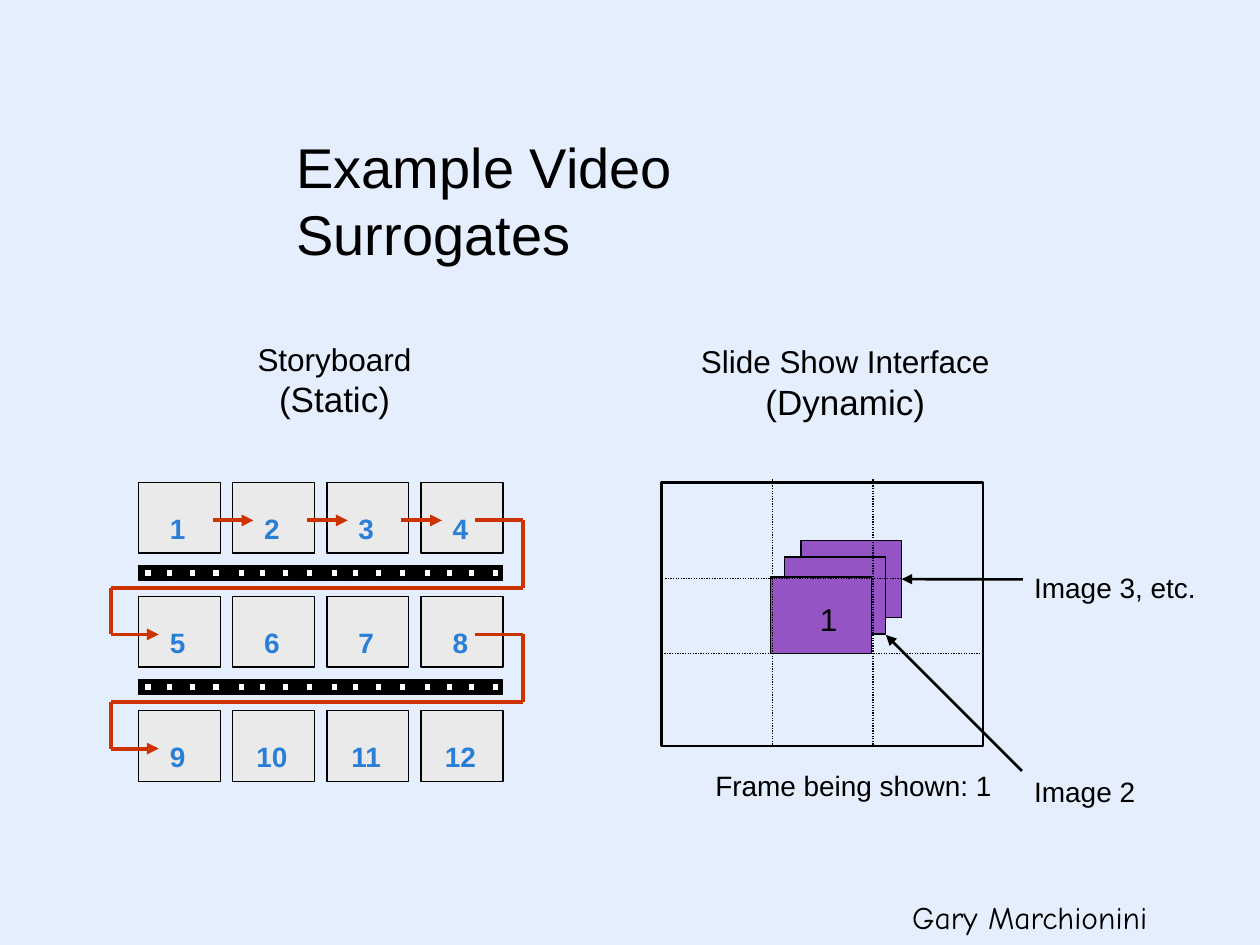
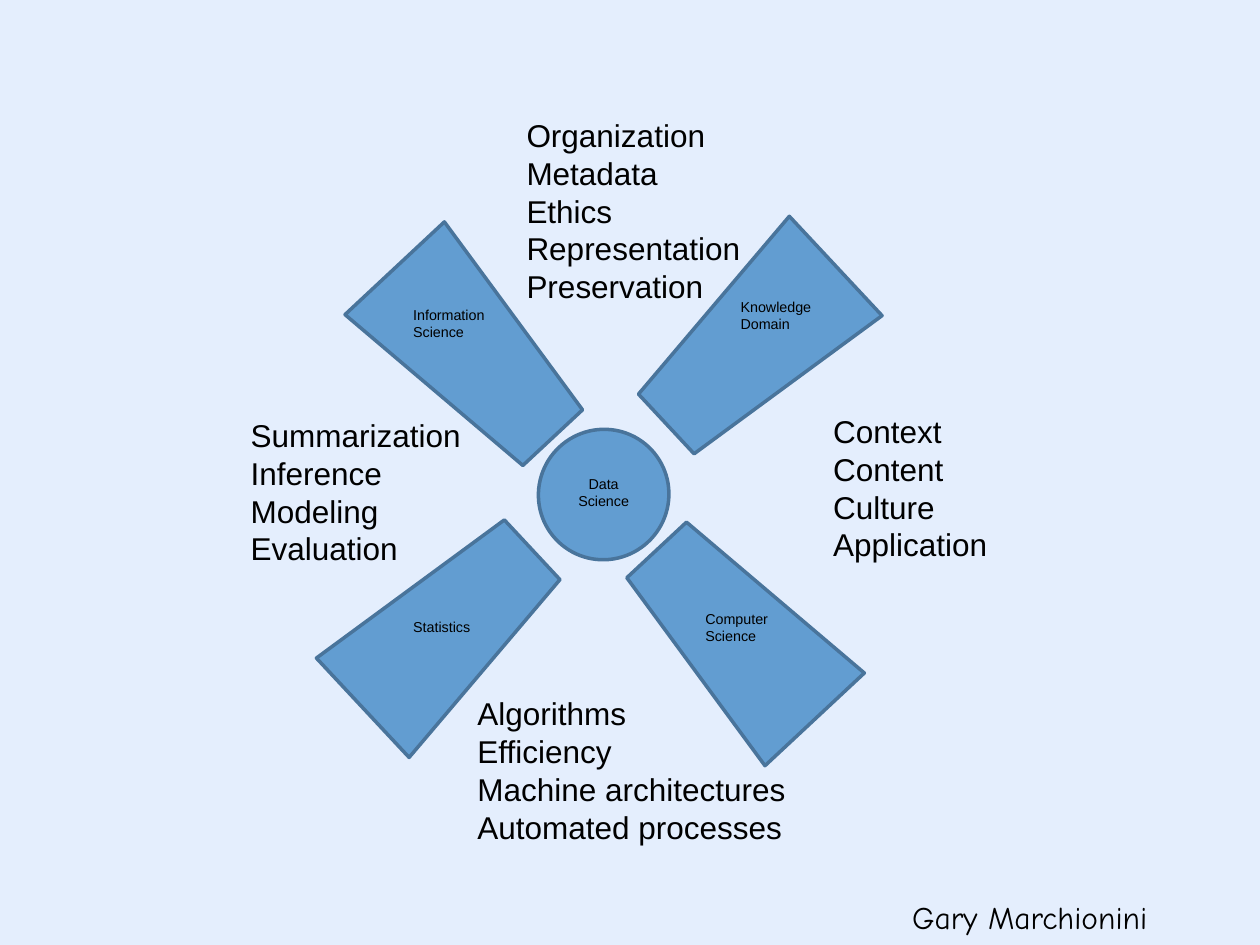
from dataclasses import dataclass

from lxml import etree
from pptx import Presentation
from pptx import util as u
from pptx.dml import color
from pptx.enum import dml, shapes, text
from pptx.oxml import ns

BOX = shapes.MSO_SHAPE.RECTANGLE
MID = text.PP_ALIGN.CENTER
LEFT = text.PP_ALIGN.LEFT


@dataclass(frozen=True)
class Theme:
    """Colours, fonts and type sizes."""
    back: str = "E4EEFD"
    ink: str = "000000"
    hole: str = "FFFFFF"
    frame: str = "EAEAEA"
    digit: str = "297FD5"
    route: str = "CC3300"
    image: str = "9454C3"
    petal: str = "629DD1"
    edge: str = "49749B"
    face: str = "Arial"
    hand: str = "Comic Neue"
    title: float = 32
    large: float = 20
    body: float = 18
    note: float = 16
    tiny: float = 8.2


def rgb(code):
    return color.RGBColor.from_string(code)


def dress(item, vals):
    for key, val in vals.items():
        setattr(item, key, val)


def place(item, area):
    dress(item, dict(zip(("left", "top", "width", "height"), map(u.Cm, area))))


class Deck:
    def __init__(self, theme):
        self.theme = theme
        self.prs = Presentation()
        dress(self.prs, {"slide_width": u.Cm(25.4), "slide_height": u.Cm(19.05)})
        fill = self.prs.slide_master.background.fill
        fill.solid()
        fill.fore_color.rgb = rgb(theme.back)
        self.slide = None

    def page(self, layout):
        self.slide = self.prs.slides.add_slide(self.prs.slide_layouts[layout])

    def words(self, item, lines, size, wrap=False, align=LEFT, face=None,
              ink=None, bold=False):
        """Fill a text holder; size is one value or one per line."""
        frame = item.text_frame
        dress(frame, {"word_wrap": wrap, "auto_size": text.MSO_AUTO_SIZE.NONE,
                      "vertical_anchor": text.MSO_ANCHOR.TOP})
        sizes = size if isinstance(size, tuple) else (size,) * len(lines)
        for row, (line, pts) in enumerate(zip(lines, sizes)):
            para = frame.add_paragraph() if row else frame.paragraphs[0]
            if item.is_placeholder:
                props = para._p.get_or_add_pPr()
                props.set("marL", "0")
                props.set("indent", "0")
                etree.SubElement(props, ns.qn("a:buNone"))
            dress(para, {"alignment": align, "space_before": u.Pt(0)})
            run = para.add_run()
            run.text = line
            dress(run.font, {"size": u.Pt(pts), "bold": bold,
                             "name": face or self.theme.face})
            run.font.color.rgb = rgb(ink or self.theme.ink)

    def label(self, area, lines, size, **style):
        item = self.slide.shapes.add_textbox(*map(u.Cm, area))
        self.words(item, lines, size, **style)
        return item

    def holder(self, index, area, lines, size, **style):
        item = self.slide.placeholders[index]
        place(item, area)
        self.words(item, lines, size, **style)

    def group(self):
        return self.slide.shapes.add_group_shape().shapes

    def shape(self, area, fill, host=None, kind=BOX, edge=None, width=0.75, turn=0):
        item = (host or self.slide.shapes).add_shape(kind, *map(u.Cm, area))
        item.shadow.inherit = False
        item.rotation = turn
        if fill:
            item.fill.solid()
            item.fill.fore_color.rgb = rgb(fill)
        else:
            item.fill.background()
        item.line.color.rgb = rgb(edge or self.theme.ink)
        item.line.width = u.Pt(width)
        return item

    def line(self, start, end, ink=None, width=1.5, arrow=False, dots=False):
        item = self.slide.shapes.add_connector(
            shapes.MSO_CONNECTOR.STRAIGHT, *map(u.Cm, (*start, *end)))
        item.line.color.rgb = rgb(ink or self.theme.ink)
        item.line.width = u.Pt(width)
        if dots:
            item.line.dash_style = dml.MSO_LINE.ROUND_DOT
        if arrow:
            stroke = item.line._get_or_add_ln()
            etree.SubElement(stroke, ns.qn("a:tailEnd"), type="triangle")
        etree.SubElement(item.element.spPr, ns.qn("a:effectLst"))
        return item

    def chain(self, points, **style):
        """Row of lines with an arrowhead on the last one."""
        last = len(points) - 2
        for step, (start, end) in enumerate(zip(points, points[1:])):
            self.line(start, end, arrow=step == last, **style)

    def footer(self, area, name):
        """Put the name on the master so that each slide shows it."""
        item = self.label(area, [name], self.theme.body, face=self.theme.hand)
        self.prs.slide_master.element.cSld.spTree.append(item.element)


def show(deck):
    """Slide show panel with its stack of images."""
    look = deck.theme
    size = (2.03, 1.55)
    back = deck.shape((16.15, 10.9, *size), look.image)
    deck.shape((15.82, 11.23, *size), look.image)
    deck.shape((13.34, 9.73, 6.48, 5.31), None, width=1.5)
    deck.shape((15.54, 11.63, *size), look.image)
    deck.label((12.9, 6.78, 8.28, 2.11), ["Slide Show Interface", "(Dynamic)"],
               (look.body, look.large), align=MID)

    # Pointers and captions
    deck.line((20.6, 15.54), (17.86, 12.8), arrow=True)
    deck.line((20.62, 11.68), (18.18, 11.68), arrow=True).end_connect(back, 3)
    deck.label((16.28, 11.98, 0.64, 1.27), ["1"], look.body)
    for left, top, width, name in ((20.6, 15.49, 2.57, "Image 2"),
                                   (20.6, 11.38, 3.78, "Image 3, etc."),
                                   (14.17, 15.37, 6.25, "Frame being shown: 1")):
        deck.label((left, top, width, 0.94), [name], look.note)

    # Dotted grid
    for x in (15.57, 17.6):
        deck.line((x, 15.01), (x, 9.65), width=0.75, dots=True)
    for x, y in ((13.41, 11.66), (13.34, 13.18)):
        deck.line((x, y), (x + 6.45, y), width=0.75, dots=True)


def story(deck):
    """Storyboard of numbered frames, film strips and reading route."""
    look = deck.theme
    rows, cols, across, down = 3, 4, 1.9, 2.3
    deck.label((4.42, 6.73, 4.65, 2.11), ["Storyboard", "(Static)"],
               (look.body, look.large), align=MID)

    # Frames and numbers
    for cell in range(rows * cols):
        row, col = divmod(cell, cols)
        deck.shape((2.79 + col * across, 9.73 + row * down, 1.65, 1.42), look.frame)
        digit = str(cell + 1)
        wide = 0.81 if len(digit) == 1 else 1.14
        deck.label((3.58 + col * across - wide / 2, 10.19 + row * down, wide, 0.94),
                   [digit], look.note, align=MID, ink=look.digit, bold=True)

    # Film strips between rows
    for row in range(rows - 1):
        top = 11.4 + row * down
        strip = deck.group()
        deck.shape((2.79, top, 7.34, 0.3), look.ink, strip)
        for col in range(cols):
            for gap in (0, 0.43, 0.89, 1.37):
                deck.shape((2.92 + col * 1.88 + gap, top + 0.08, 0.13, 0.15),
                           look.hole, strip)

    # Route through the frames
    style = {"ink": look.route, "width": 2.25}
    y = 10.49
    for col in range(cols - 1):
        x = 4.29 + col * across
        deck.line((x, y), (x + 0.82, y), arrow=True, **style)
    for row in range(rows - 1):
        top = y + row * down
        turn, end = top + 1.37, top + down
        deck.chain([(9.58, top), (10.54, top), (10.54, turn),
                    (2.24, turn), (2.24, end), (3.2, end)], **style)


def wheel(deck):
    """Four petals around a hub, with their topics."""
    look = deck.theme
    kind = shapes.MSO_SHAPE
    style = {"host": deck.group(), "edge": look.edge, "width": 2}
    for left, top, turn in ((8.18, 4.78, 317), (13.46, 10.46, 137),
                            (7.65, 10.34, 227), (13.77, 4.62, 47)):
        deck.shape((left, top, 2.74, 4.67), look.petal, turn=turn,
                   kind=kind.FLOWCHART_MANUAL_OPERATION, **style)
    deck.shape((10.85, 8.66, 2.64, 2.62), look.petal, turn=317,
               kind=kind.FLOWCHART_CONNECTOR, **style)

    # Names on the parts
    for left, top, lines in ((8.08, 6.05, ["Information", "Science"]),
                             (13.97, 12.17, ["Computer", "Science"]),
                             (8.08, 12.34, ["Statistics"]),
                             (14.68, 5.89, ["Knowledge", "Domain"])):
        deck.label((left, top, 2.36, 0.97), lines, look.tiny, wrap=True)
    deck.label((11.33, 9.45, 1.68, 0.97), ["Data", "Science"], look.tiny, align=MID)

    # Topic lists
    lists = (
        ((10.36, 2.21, 4.85, 4.88),
         ["Organization", "Metadata", "Ethics", "Representation", "Preservation"]),
        ((16.54, 8.18, 3.66, 4.11), ["Context", "Content", "Culture", "Application"]),
        ((9.37, 13.87, 6.78, 3.33),
         ["Algorithms", "Efficiency", "Machine architectures", "Automated processes"]),
        ((4.8, 8.26, 4.8, 3.33),
         ["Summarization", "Inference", "Modeling", "Evaluation"]),
    )
    for index, (area, lines) in enumerate(lists, 1):
        deck.holder(index, area, lines, look.body)


def main():
    deck = Deck(Theme())

    # Slide 1: video surrogates
    deck.page(5)
    deck.footer((18.14, 17.98, 7.26, 1.02), "Gary Marchionini")
    deck.holder(0, (5.72, 2.54, 12.67, 1.6), ["Example Video Surrogates"],
                deck.theme.title, wrap=True)
    show(deck)
    story(deck)

    # Slide 2: data science
    deck.page(4)
    title = deck.slide.shapes.title.element
    title.getparent().remove(title)
    wheel(deck)

    deck.prs.save("out.pptx")


if __name__ == "__main__":
    main()
